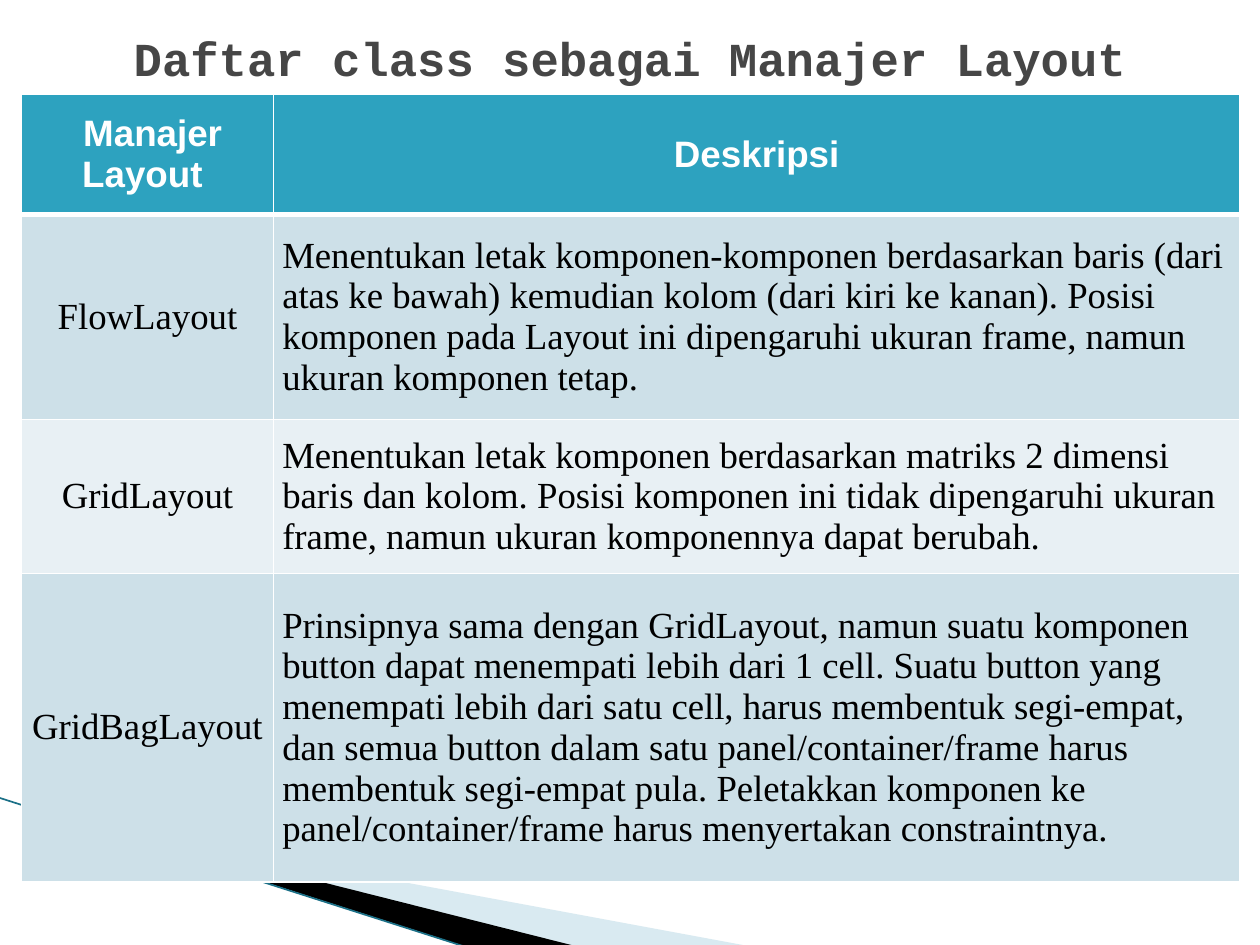
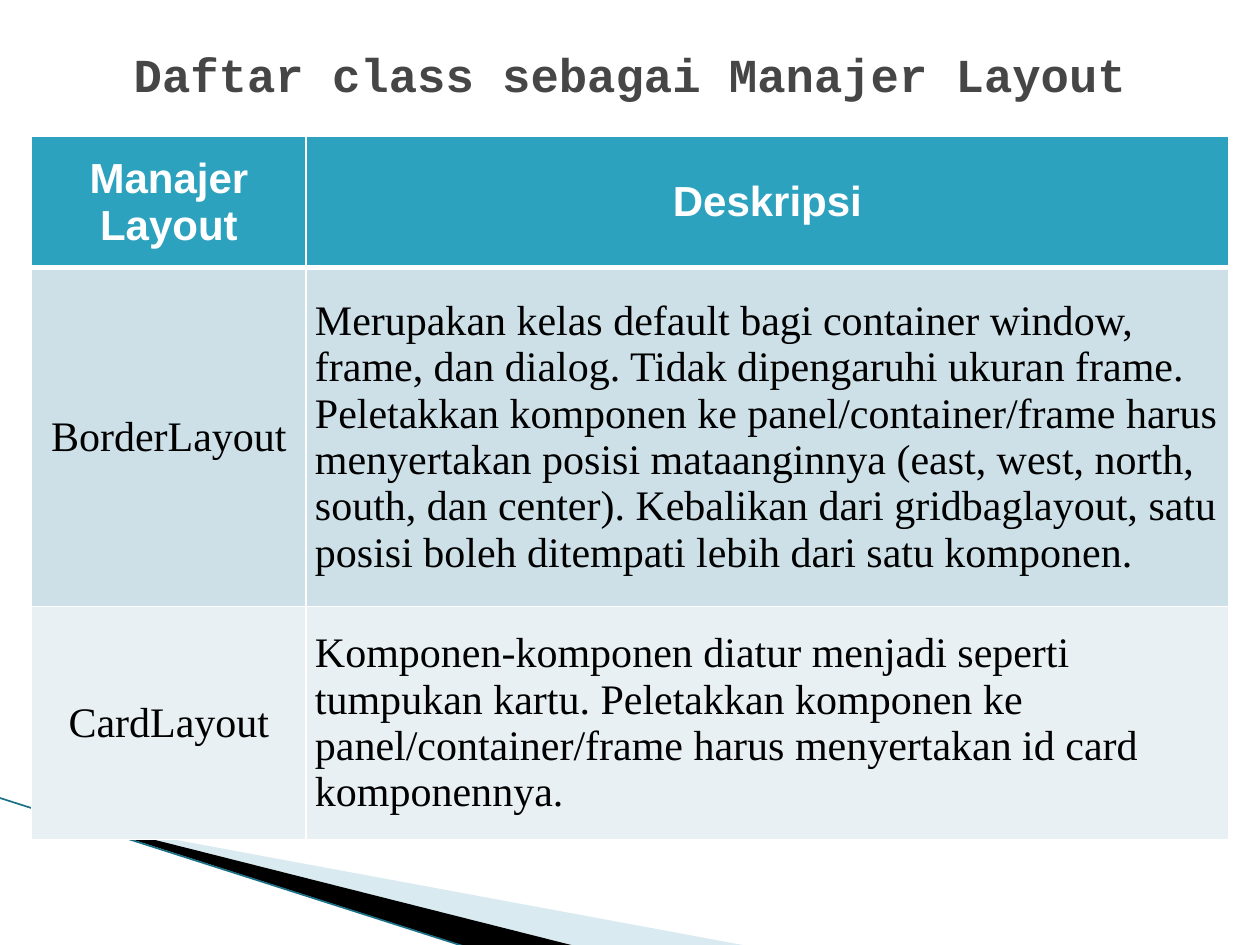
from dataclasses import dataclass

from lxml.etree import SubElement
from pptx import Presentation
from pptx.dml.color import RGBColor
from pptx.enum.shapes import MSO_CONNECTOR
from pptx.enum.text import MSO_ANCHOR, PP_ALIGN
from pptx.oxml.ns import qn
from pptx.util import Pt

WHITE, BLACK = "FFFFFF", "000000"
TITLE_GREY, HEADER_TEAL = "464646", "2DA2BF"
BAND_COLOURS = ("CDE0E8", "E8F0F4")
SWOOSH_BLUE, SWOOSH_LINE = "A0CBDC", "1B7087"
TITLE = "Daftar class sebagai Manajer Layout"
BODY_MARGINS = {"margin_left": Pt(5), "margin_right": Pt(5), "margin_top": 0, "margin_bottom": 0}
BODY_SPACING = {"space_before": Pt(12), "space_after": Pt(3)}


@dataclass
class LayoutRow:
    manager: str
    description: str
    height: float
    spaced: bool = True


@dataclass
class LayoutSlide:
    title_top: float
    title_height: float
    table_left: float
    table_top: float
    column_widths: tuple[float, float]
    header_height: float
    header: str
    text_size: float
    rows: list[LayoutRow]


@dataclass
class Swoosh:
    points: list[tuple[float, float]]
    colour: str
    opacity: int = 100


SWOOSHES = [
    Swoosh([(39.6, 468.7), (428.4, 540.7), (328.3, 540.7), (39.6, 468)], SWOOSH_BLUE, 40),
    Swoosh([(38.2, 467.3), (329, 540.7), (267.8, 541.4), (38.9, 468)], BLACK),
]

SLIDES = [
    LayoutSlide(12, 36, 12.3, 54, (144, 552.2), 68.4, " Manajer Layout ", 21, [
        LayoutRow("FlowLayout",
                  "Menentukan letak komponen-komponen berdasarkan baris (dari atas ke bawah) "
                  "kemudian kolom (dari kiri ke kanan). Posisi komponen pada Layout ini "
                  "dipengaruhi ukuran frame, namun ukuran komponen tetap.", 117.4),
        LayoutRow("GridLayout",
                  "Menentukan letak komponen berdasarkan matriks 2 dimensi baris dan kolom. "
                  "Posisi komponen ini tidak dipengaruhi ukuran frame, namun ukuran "
                  "komponennya dapat berubah.", 87.8),
        LayoutRow("GridBagLayout",
                  "Prinsipnya sama dengan GridLayout, namun suatu komponen button dapat "
                  "menempati lebih dari 1 cell. Suatu button yang menempati lebih dari satu "
                  "cell, harus membentuk segi-empat, dan semua button dalam satu "
                  "panel/container/frame harus membentuk segi-empat pula. Peletakkan komponen "
                  "ke panel/container/frame harus menyertakan constraintnya.", 176.4),
    ]),
    LayoutSlide(18, 42, 18, 78, (157, 527), 74.9, "Manajer Layout", 24, [
        LayoutRow("BorderLayout",
                  "Merupakan kelas default bagi container window, frame, dan dialog. Tidak "
                  "dipengaruhi ukuran frame. Peletakkan komponen ke panel/container/frame harus "
                  "menyertakan posisi mataanginnya (east, west, north, south, dan center). "
                  "Kebalikan dari gridbaglayout, satu posisi boleh ditempati lebih dari satu "
                  "komponen.", 193.7, spaced=False),
        LayoutRow("CardLayout",
                  "Komponen-komponen diatur menjadi seperti tumpukan kartu. Peletakkan komponen "
                  "ke panel/container/frame harus menyertakan id card komponennya.", 133.2),
    ]),
]


def rgb(colour: str) -> RGBColor:
    return RGBColor.from_string(colour)


def set_all(target, values: dict) -> None:
    for name, value in values.items():
        setattr(target, name, value)


def write(paragraph, text: str, font: str, size: float, colour: str, bold: bool, align) -> None:
    paragraph.alignment = align
    run = paragraph.add_run()
    run.text = text
    set_all(run.font, {"name": font, "size": Pt(size), "bold": bold})
    run.font.color.rgb = rgb(colour)


def add_swoosh(slide, swoosh: Swoosh) -> None:
    points = [(Pt(x), Pt(y)) for x, y in swoosh.points]
    builder = slide.shapes.build_freeform(*points[0])
    builder.add_line_segments(points[1:], close=True)
    shape = builder.convert_to_shape()
    shape.shadow.inherit = False
    shape.line.fill.background()
    shape.fill.solid()
    shape.fill.fore_color.rgb = rgb(swoosh.colour)
    if swoosh.opacity < 100:
        colour = shape.fill._xPr.find(f"{qn('a:solidFill')}/{qn('a:srgbClr')}")
        SubElement(colour, qn("a:alpha"), val=str(swoosh.opacity * 1000))


def add_background(slide) -> None:
    for swoosh in SWOOSHES:
        add_swoosh(slide, swoosh)
    line = slide.shapes.add_connector(
        MSO_CONNECTOR.STRAIGHT, Pt(-0.7), Pt(455.8), Pt(267.1), Pt(541.4))
    line.line.color.rgb = rgb(SWOOSH_LINE)
    line.line.width = Pt(0.95)
    SubElement(line._element.spPr, qn("a:effectLst"))


def add_title(slide, top: float, height: float) -> None:
    frame = slide.shapes.add_textbox(Pt(36), Pt(top), Pt(648), Pt(height)).text_frame
    set_all(frame, {"word_wrap": True, "vertical_anchor": MSO_ANCHOR.MIDDLE,
                    "margin_top": Pt(6), "margin_bottom": 0})
    write(frame.paragraphs[0], TITLE, "Courier New", 27, TITLE_GREY, True, PP_ALIGN.CENTER)


def style_cell(cell, fill: str, top_width: float, bottom_width: float) -> None:
    """Centre the cell vertically, draw its white borders and fill it."""
    cell.vertical_anchor = MSO_ANCHOR.MIDDLE
    properties = cell._tc.get_or_add_tcPr()
    widths = {"lnL": 1, "lnR": 1, "lnT": top_width, "lnB": bottom_width}
    for side, width in widths.items():
        border = SubElement(properties, qn(f"a:{side}"), w=str(Pt(width)))
        SubElement(SubElement(border, qn("a:solidFill")), qn("a:srgbClr"), val=WHITE)
    cell.fill.solid()
    cell.fill.fore_color.rgb = rgb(fill)


def add_layout_table(slide, content: LayoutSlide) -> None:
    heights = [content.header_height] + [row.height for row in content.rows]
    table = slide.shapes.add_table(
        len(heights), 2, Pt(content.table_left), Pt(content.table_top),
        Pt(sum(content.column_widths)), Pt(sum(heights))).table
    for column, width in zip(table.columns, content.column_widths):
        column.width = Pt(width)
    for table_row, height in zip(table.rows, heights):
        table_row.height = Pt(height)

    for cell, text in zip(table.rows[0].cells, (content.header, "Deskripsi")):
        style_cell(cell, HEADER_TEAL, 1, 3)
        write(cell.text_frame.paragraphs[0], text, "Arial", content.text_size,
              WHITE, True, PP_ALIGN.CENTER)

    for index, row in enumerate(content.rows):
        columns = ((row.manager, PP_ALIGN.CENTER, True),
                   (row.description, PP_ALIGN.LEFT, row.spaced))
        for cell, (text, align, spaced) in zip(table.rows[index + 1].cells, columns):
            set_all(cell, BODY_MARGINS)
            style_cell(cell, BAND_COLOURS[index % 2], 3 if index == 0 else 1, 1)
            paragraph = cell.text_frame.paragraphs[0]
            if spaced:
                set_all(paragraph, BODY_SPACING)
            write(paragraph, text, "Times New Roman", content.text_size, BLACK, False, align)


def main() -> None:
    presentation = Presentation()
    set_all(presentation, {"slide_width": Pt(720), "slide_height": Pt(540)})
    for content in SLIDES:
        slide = presentation.slides.add_slide(presentation.slide_layouts[6])
        add_background(slide)
        add_layout_table(slide, content)
        add_title(slide, content.title_top, content.title_height)
    presentation.save("out.pptx")


if __name__ == "__main__":
    main()
